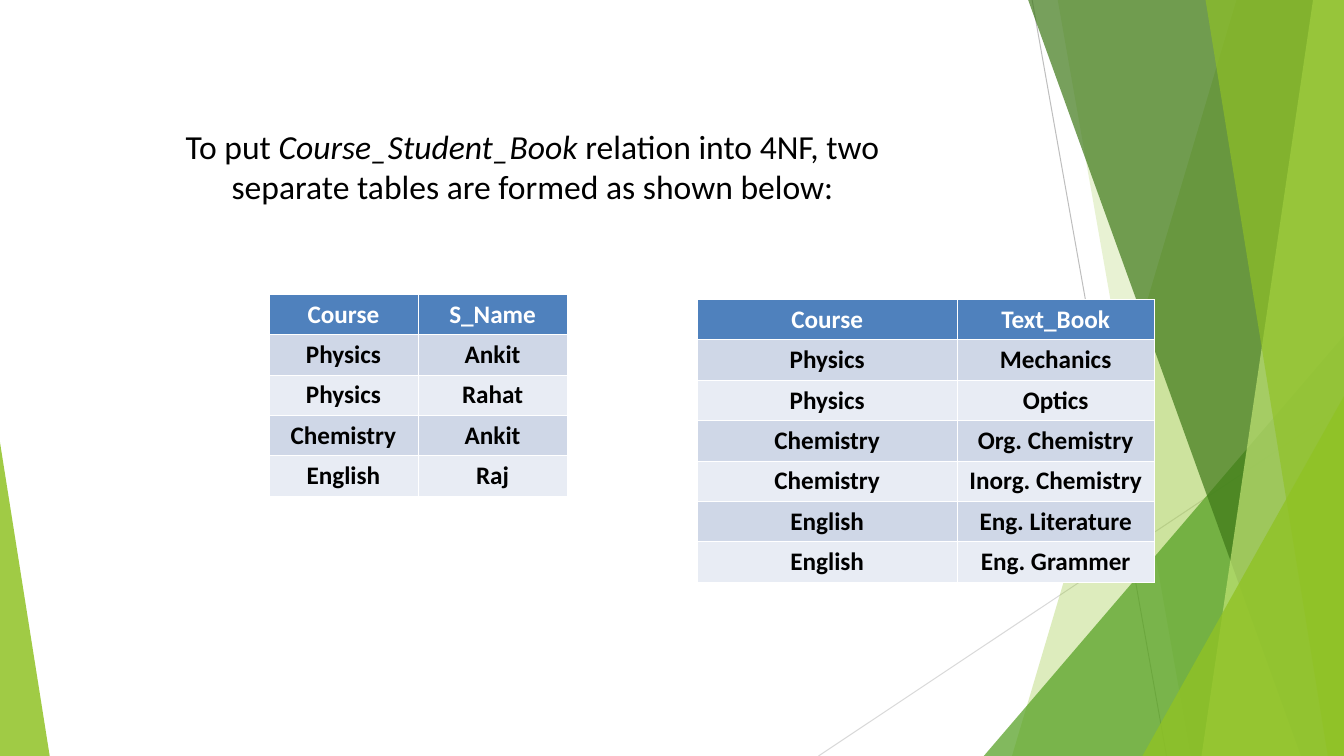
from lxml import etree
from pptx import Presentation
from pptx.dml.color import RGBColor
from pptx.enum.shapes import MSO_CONNECTOR
from pptx.enum.text import MSO_ANCHOR, PP_ALIGN
from pptx.oxml.ns import qn
from pptx.util import Inches, Pt

STRAIGHT = MSO_CONNECTOR.STRAIGHT
CENTER = PP_ALIGN.CENTER
TOP = MSO_ANCHOR.TOP

THEME = {
    "font": "Calibri", "title_size": 24, "table_size": 18,
    "text": "000000", "header_text": "FFFFFF", "header_fill": "4F81BD",
    "bands": ("CFD7E7", "E8ECF4"), "border": "FFFFFF",
    "border_width": 0.4, "header_border_width": 1.19, "hairline_width": 0.71,
    "lime": "90C225", "green": "539F20", "dark_green": "3E7818",
    "pale_lime": "C0E374", "gray": "BEBEBE", "light_gray": "D9D9D9",
}

presentation = Presentation()
presentation.slide_width = Inches(13.34)
presentation.slide_height = Inches(7.5)
slide = presentation.slides.add_slide(presentation.slide_layouts[6])

# All positions below are percentages of the slide's width and height.
column = presentation.slide_width / 100
row = presentation.slide_height / 100


def write_text(text_frame, *runs, size, color, bold=False, italic_runs=()):
    """Fill the frame's first paragraph, with italics on the given run indexes."""
    paragraph = text_frame.paragraphs[0]
    paragraph.alignment = CENTER
    for index, text in enumerate(runs):
        run = paragraph.add_run()
        run.text = text
        run.font.name = THEME["font"]
        run.font.size = Pt(size)
        run.font.bold = bold
        run.font.italic = index in italic_runs
        run.font.color.rgb = RGBColor.from_string(color)


def add_cell_borders(cell, top_width, bottom_width):
    properties = cell._tc.get_or_add_tcPr()
    side = THEME["border_width"]
    widths = {"a:lnL": side, "a:lnR": side, "a:lnT": top_width, "a:lnB": bottom_width}
    for index, (tag, width) in enumerate(widths.items()):
        line = etree.Element(qn(tag), w=str(Pt(width)))
        fill = etree.SubElement(line, qn("a:solidFill"))
        etree.SubElement(fill, qn("a:srgbClr"), val=THEME["border"])
        properties.insert(index, line)


hairlines = [
    ("gray", (76.8, 0), (86.8, 100)),
    ("light_gray", (100, 53.7), (60.9, 100)),
]
for color, (start_x, start_y), (end_x, end_y) in hairlines:
    hairline = slide.shapes.add_connector(
        STRAIGHT, round(start_x * column), round(start_y * row),
        round(end_x * column), round(end_y * row))
    hairline.line.color.rgb = RGBColor.from_string(THEME[color])
    hairline.line.width = Pt(THEME["hairline_width"])
    etree.SubElement(hairline._element.spPr, qn("a:effectLst"))

# Colour, opacity in percent, corners
shards = [
    ("lime", 30, [(100, 0), (92, 0), (75.3, 100), (100, 100)]),
    ("lime", 20, [(100, 0), (78.7, 0), (88.6, 100), (100, 100)]),
    ("green", 72, [(100, 44.4), (73.2, 100), (100, 100)]),
    ("dark_green", 70, [(100, 0), (76.5, 0), (96.8, 100), (100, 100)]),
    ("pale_lime", 70, [(100, 0), (97.7, 0), (89.4, 100), (100, 100)]),
    ("lime", 65, [(100, 0), (89.7, 0), (98.8, 100), (100, 100)]),
    ("lime", 80, [(100, 52.4), (85, 100), (100, 100)]),
    ("lime", 85, [(0, 58.5), (0, 100), (3.7, 100)]),
]
for color, opacity, corners in shards:
    points = [(round(x * column), round(y * row)) for x, y in corners]
    builder = slide.shapes.build_freeform(*points[0])
    builder.add_line_segments(points[1:], close=True)
    shard = builder.convert_to_shape()
    shard.shadow.inherit = False
    shard.line.fill.background()
    shard.fill.solid()
    shard.fill.fore_color.rgb = RGBColor.from_string(THEME[color])
    fill_color = shard._element.spPr.find(qn("a:solidFill")).find(qn("a:srgbClr"))
    etree.SubElement(fill_color, qn("a:alpha"), val=str(opacity * 1000))

title = slide.shapes.add_textbox(
    round(9.37 * column), round(16.67 * row), round(60.5 * column), round(20.7 * row))
title_frame = title.text_frame
title_frame.word_wrap = True
title_frame.vertical_anchor = TOP
title_frame.margin_left = title_frame.margin_right = 0
title_frame.margin_top = title_frame.margin_bottom = 0
write_text(title_frame, "To put ", "Course_Student_Book",
           " relation into 4NF, two separate tables are formed as shown below:",
           size=THEME["title_size"], color=THEME["text"], italic_runs=(1,))

# Left, top, column widths, rows
row_height = 5.1
relations = [
    (20, 38.9, (11.1, 11.1), [
        ("Course", "S_Name"),
        ("Physics", "Ankit"),
        ("Physics", "Rahat"),
        ("Chemistry", "Ankit"),
        ("English", "Raj"),
    ]),
    (51.9, 39.6, (19.3, 14.7), [
        ("Course", "Text_Book"),
        ("Physics", "Mechanics"),
        ("Physics", "Optics"),
        ("Chemistry", "Org. Chemistry"),
        ("Chemistry", "Inorg. Chemistry"),
        ("English", "Eng. Literature"),
        ("English", "Eng. Grammer"),
    ]),
]
for left, top, widths, records in relations:
    table = slide.shapes.add_table(
        len(records), len(widths), round(left * column), round(top * row),
        round(sum(widths) * column), round(len(records) * row_height * row)).table
    for table_column, width in zip(table.columns, widths):
        table_column.width = round(width * column)
    for row_index, record in enumerate(records):
        is_header = row_index == 0
        fill = THEME["header_fill"] if is_header else THEME["bands"][(row_index - 1) % 2]
        text_color = THEME["header_text"] if is_header else THEME["text"]
        top_width = THEME["header_border_width" if row_index == 1 else "border_width"]
        bottom_width = THEME["header_border_width" if is_header else "border_width"]
        for column_index, value in enumerate(record):
            cell = table.cell(row_index, column_index)
            cell.margin_left = cell.margin_right = Inches(0.08)
            cell.margin_top = cell.margin_bottom = Inches(0.05)
            cell.fill.solid()
            cell.fill.fore_color.rgb = RGBColor.from_string(fill)
            add_cell_borders(cell, top_width, bottom_width)
            write_text(cell.text_frame, value, size=THEME["table_size"],
                       color=text_color, bold=True)

presentation.save("out.pptx")
